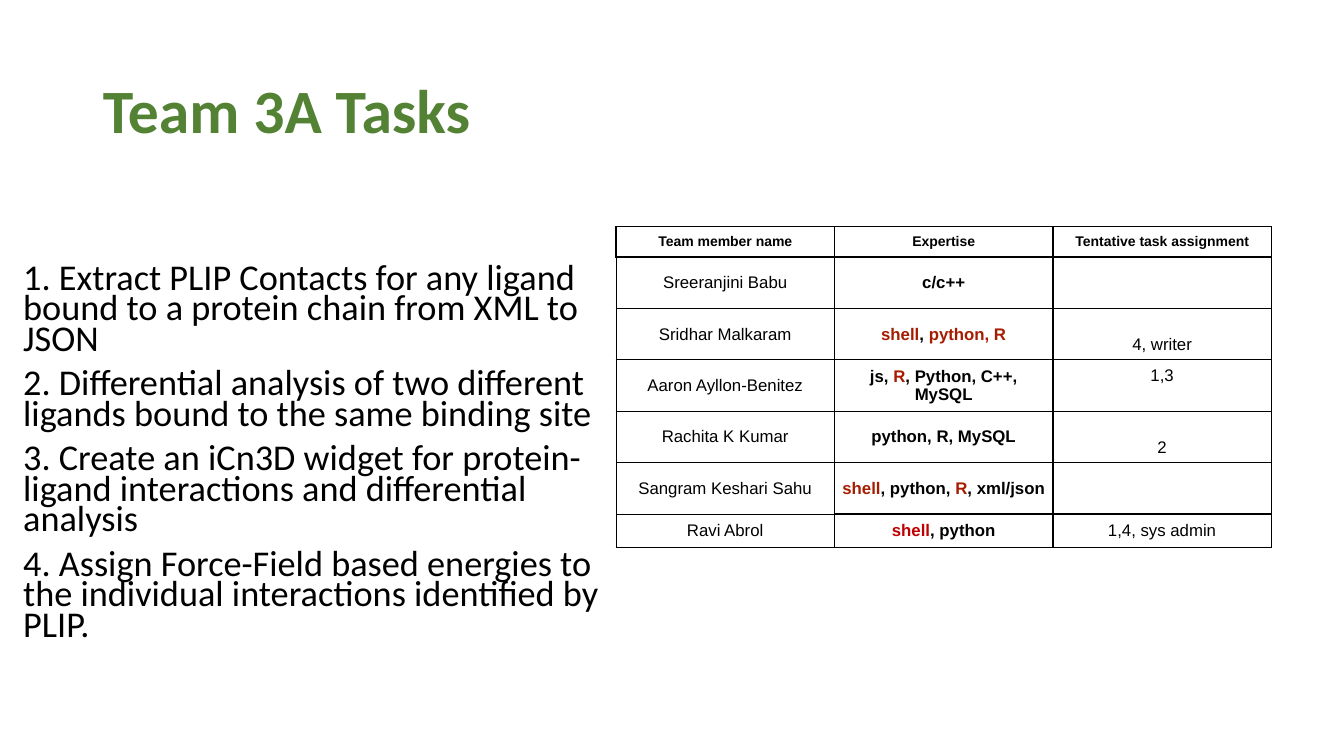
from lxml.etree import SubElement
from pptx import Presentation
from pptx.dml.color import RGBColor
from pptx.enum.text import MSO_ANCHOR, MSO_AUTO_SIZE, PP_ALIGN
from pptx.oxml.ns import qn
from pptx.util import Inches, Pt

HUES = {"green": "548235", "black": "000000", "rust": "A61C00", "red": "C00000"}
TASKS = [
    "1. Extract PLIP Contacts for any ligand bound to a protein chain from XML to JSON",
    "2. Differential analysis of two different ligands bound to the same binding site",
    "3. Create an iCn3D widget for protein-ligand interactions and differential analysis",
    "4. Assign Force-Field based energies to the individual interactions identified by PLIP.",
]
HEADS = ["Team member name", "Expertise", "Tentative task assignment"]
MID, TOP, LOW = MSO_ANCHOR.MIDDLE, MSO_ANCHOR.TOP, MSO_ANCHOR.BOTTOM
TEAM = [
    ("Sreeranjini Babu", [("c/c++", "black")], "", MID),
    ("Sridhar Malkaram", [("shell", "rust"), (", ", "black"), ("python, R", "rust")],
     "4, writer", LOW),
    ("Aaron Ayllon-Benitez",
     [("js, ", "black"), ("R", "rust"), (", Python, C++, MySQL", "black")], "1,3", TOP),
    ("Rachita K Kumar", [("python, R, MySQL", "black")], "2", LOW),
    ("Sangram Keshari Sahu",
     [("shell", "rust"), (", python, ", "black"), ("R", "rust"), (", xml/json", "black")],
     "", MID),
    ("Ravi Abrol", [("shell", "red"), (", python", "black")], "1,4, sys admin", MID),
]


def write(para, text, size=12, face="Arial", hue="black", bold=False):
    """Add a formatted run to a paragraph."""
    run = para.add_run()
    run.text = text
    font = run.font
    font.size, font.name, font.bold = Pt(size), face, bold
    font.color.rgb = RGBColor.from_string(HUES[hue])


class Deck:
    """Hold the style and the current slide."""

    def __init__(self):
        """Start a wide deck with one slide."""
        self.show = Presentation()
        self.show.slide_width, self.show.slide_height = Inches(13.33), Inches(7.5)
        self.slide = self.show.slides.add_slide(self.show.slide_layouts[1])

    def place(self, index, box, anchor):
        """Move a placeholder and return its text frame."""
        shape = self.slide.placeholders[index]
        shape.left, shape.top, shape.width, shape.height = map(Inches, box)
        frame = shape.text_frame
        frame.word_wrap, frame.auto_size = True, MSO_AUTO_SIZE.NONE
        frame.vertical_anchor = anchor
        return frame

    def title(self, text, box):
        """Write the slide title."""
        para = self.place(0, box, MID).paragraphs[0]
        para.alignment, para.line_spacing = PP_ALIGN.LEFT, 0.9
        write(para, text, size=44, face="Calibri", hue="green", bold=True)

    def list(self, items, box):
        """Write the task list without bullets."""
        frame = self.place(1, box, TOP)
        for i, item in enumerate(items):
            para = frame.add_paragraph() if i else frame.paragraphs[0]
            props = para._p.get_or_add_pPr()
            props.set("marL", "0")
            props.set("indent", "0")
            SubElement(props, qn("a:buNone"))
            para.line_spacing, para.space_before = 0.7, Pt(10 if i else 0)
            write(para, item, size=25.9, face="Calibri")

    def edge(self, cell, width):
        """Draw the four borders of a cell."""
        props = cell._tc.get_or_add_tcPr()
        for side in ("lnL", "lnR", "lnT", "lnB"):
            line = SubElement(props, qn(f"a:{side}"), w=str(Pt(width)))
            fill = SubElement(line, qn("a:solidFill"))
            SubElement(fill, qn("a:srgbClr"), val=HUES["black"])

    def cell(self, cell, parts, anchor=MID, width=1, **style):
        """Fill one table cell with coloured parts."""
        self.edge(cell, width)
        cell.fill.background()
        cell.vertical_anchor = anchor
        cell.margin_left = cell.margin_right = Inches(0.07)
        cell.margin_top = cell.margin_bottom = Inches(0.06)
        para = cell.text_frame.paragraphs[0]
        para.alignment = PP_ALIGN.CENTER
        for text, hue in parts:
            if text:
                write(para, text, hue=hue, **style)

    def table(self, heads, team, box, rows):
        """Build the team table."""
        grid = self.slide.shapes.add_table(len(rows), len(heads), *map(Inches, box)).table
        grid.first_row = grid.horz_banding = False
        for col in grid.columns:
            col.width = Inches(box[2] / len(heads))
        for row, high in zip(grid.rows, rows):
            row.height = Inches(high)
        for c, head in enumerate(heads):
            self.cell(grid.cell(0, c), [(head, "black")], size=10, bold=True)
        for r, (name, skills, task, anchor) in enumerate(team, 1):
            self.cell(grid.cell(r, 0), [(name, "black")], width=0.75)
            self.cell(grid.cell(r, 1), skills, bold=True)
            self.cell(grid.cell(r, 2), [(task, "black")], anchor=anchor)


def main():
    """Build and save the slide."""
    deck = Deck()
    deck.title("Team 3A Tasks", (0.92, 0.4, 11.5, 1.45))
    rows = [0.3] + [0.51] * 5 + [0.33]
    deck.table(HEADS, TEAM, (6.11, 2.25, 6.5, sum(rows)), rows)
    deck.list(TASKS, (0.13, 2.59, 6.34, 4.17))
    deck.show.save("out.pptx")


if __name__ == "__main__":
    main()
